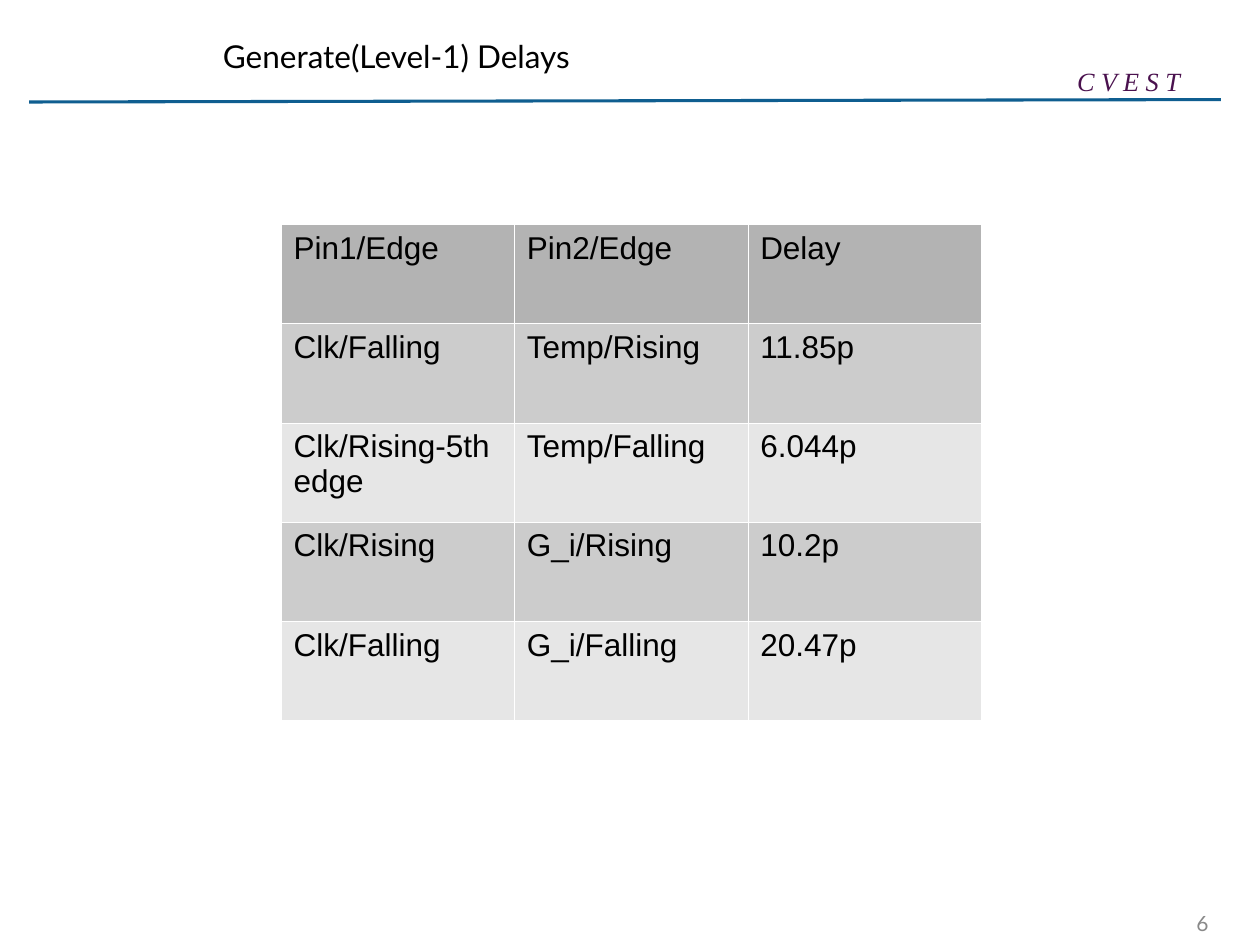
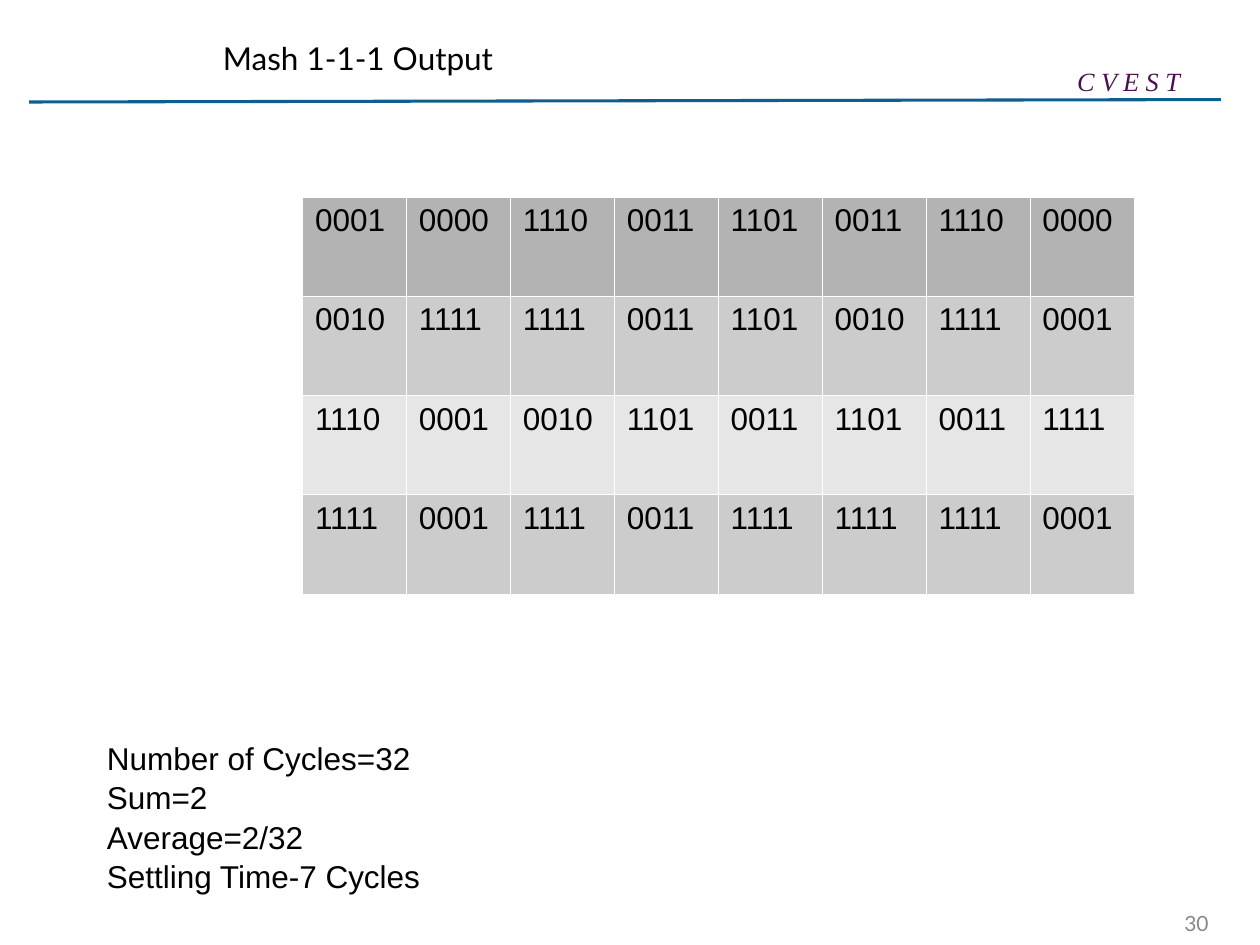
import pptx
import pptx.dml.color
import pptx.enum.shapes
import pptx.enum.text
import pptx.oxml
import pptx.oxml.ns
import pptx.util
from lxml import etree

Pt = pptx.util.Pt
RGBColor = pptx.dml.color.RGBColor
Align = pptx.enum.text.PP_ALIGN
Anchor = pptx.enum.text.MSO_ANCHOR

BLACK = RGBColor(0x00, 0x00, 0x00)
RULE_BLUE = RGBColor(0x0F, 0x5E, 0x90)
LAB_PURPLE = RGBColor(0x4A, 0x11, 0x4E)
NUMBER_GREY = RGBColor(0x89, 0x89, 0x89)
HEADER_FILL = RGBColor(0xB3, 0xB3, 0xB3)
BAND_FILLS = [RGBColor(0xCC, 0xCC, 0xCC), RGBColor(0xE6, 0xE6, 0xE6)]

HEADING_FONT, BODY_FONT, LAB_FONT = "Lato", "Arial", "Times New Roman"
ROW_HEIGHT = 56.7
BORDER_XML = (
    '<a:{side} {ns} w="762"><a:solidFill><a:srgbClr val="FFFFFF"/>'
    "</a:solidFill></a:{side}>"
)

DELAYS = [
    ["Pin1/Edge", "Pin2/Edge", "Delay"],
    ["Clk/Falling", "Temp/Rising", "11.85p"],
    ["Clk/Rising-5th edge", "Temp/Falling", "6.044p"],
    ["Clk/Rising", "G_i/Rising", "10.2p"],
    ["Clk/Falling", "G_i/Falling", "20.47p"],
]
MASH_OUTPUT = [
    "0001 0000 1110 0011 1101 0011 1110 0000".split(),
    "0010 1111 1111 0011 1101 0010 1111 0001".split(),
    "1110 0001 0010 1101 0011 1101 0011 1111".split(),
    "1111 0001 1111 0011 1111 1111 1111 0001".split(),
]
SUMMARY = ["Number of Cycles=32", "Sum=2", "Average=2/32", "Settling Time-7 Cycles"]


def style_text(frame, font, size, color, align=Align.LEFT, italic=False):
    for para in frame.paragraphs:
        para.alignment = align
        for span in para.runs:
            span.font.name = font
            span.font.size = Pt(size)
            span.font.color.rgb = color
            span.font.italic = italic


def add_text(page, box, text, anchor=Anchor.TOP):
    frame = page.shapes.add_textbox(*map(Pt, box)).text_frame
    frame.word_wrap = True
    frame.vertical_anchor = anchor
    frame.text = text
    return frame


def add_rule(page):
    rule = page.shapes.add_connector(
        pptx.enum.shapes.MSO_CONNECTOR.STRAIGHT,
        Pt(16.6), Pt(58.3), Pt(697.7), Pt(56.9))
    rule.line.color.rgb = RULE_BLUE
    rule.line.width = Pt(1.75)
    etree.SubElement(rule._element.spPr, pptx.oxml.ns.qn("a:effectLst"))


def add_page(deck, title, title_top, number):
    """Add a slide with its title, header rule, lab name and page number."""
    page = deck.slides.add_slide(deck.slide_layouts[5])
    add_rule(page)
    lab = add_text(page, (608.4, 33.8, 92.9, 25.2), "C V E S T")
    style_text(lab, LAB_FONT, 15, LAB_PURPLE, italic=True)
    footer = add_text(page, (637.9, 516.2, 59.8, 23), str(number), Anchor.MIDDLE)
    style_text(footer, HEADING_FONT, 12, NUMBER_GREY, Align.RIGHT)

    heading = page.shapes.title
    heading.left, heading.top = Pt(120.2), Pt(title_top)
    heading.width, heading.height = Pt(452.9), Pt(41.8)
    heading.text_frame.text = title
    heading.text_frame.vertical_anchor = Anchor.MIDDLE
    style_text(heading.text_frame, HEADING_FONT, 18, BLACK)
    return page


def format_cell(cell, text, fill):
    cell.text = text
    style_text(cell.text_frame, BODY_FONT, 18, BLACK)
    properties = cell._tc.get_or_add_tcPr()
    for side in ("lnL", "lnR", "lnT", "lnB"):
        properties.append(pptx.oxml.parse_xml(
            BORDER_XML.format(side=side, ns=pptx.oxml.ns.nsdecls("a"))))
    cell.fill.solid()
    cell.fill.fore_color.rgb = fill


def add_banded_table(page, left, top, width, rows):
    columns = len(rows[0])
    table = page.shapes.add_table(
        len(rows), columns, Pt(left), Pt(top),
        Pt(width), Pt(ROW_HEIGHT * len(rows))).table
    for column in table.columns:
        column.width = Pt(width / columns)
    for row_index, values in enumerate(rows):
        table.rows[row_index].height = Pt(ROW_HEIGHT)
        fill = BAND_FILLS[(row_index - 1) % 2] if row_index else HEADER_FILL
        for column_index, value in enumerate(values):
            format_cell(table.cell(row_index, column_index), value, fill)


def add_summary(page, box, lines):
    frame = add_text(page, box, "\n".join(lines))
    style_text(frame, BODY_FONT, 18, BLACK)
    for para in frame.paragraphs[1:]:
        para.space_before = Pt(0.85)


def main():
    deck = pptx.Presentation()
    deck.slide_width, deck.slide_height = Pt(720), Pt(540)

    delays_page = add_page(deck, "Generate(Level-1) Delays", 10.8, 6)
    add_banded_table(delays_page, 160.6, 128.2, 400, DELAYS)

    output_page = add_page(deck, "Mash 1-1-1 Output", 12.2, 30)
    add_summary(output_page, (54, 418.7, 640.8, 92.5), SUMMARY)
    add_banded_table(output_page, 172.8, 112.5, 475.2, MASH_OUTPUT)

    deck.save("out.pptx")


if __name__ == "__main__":
    main()
